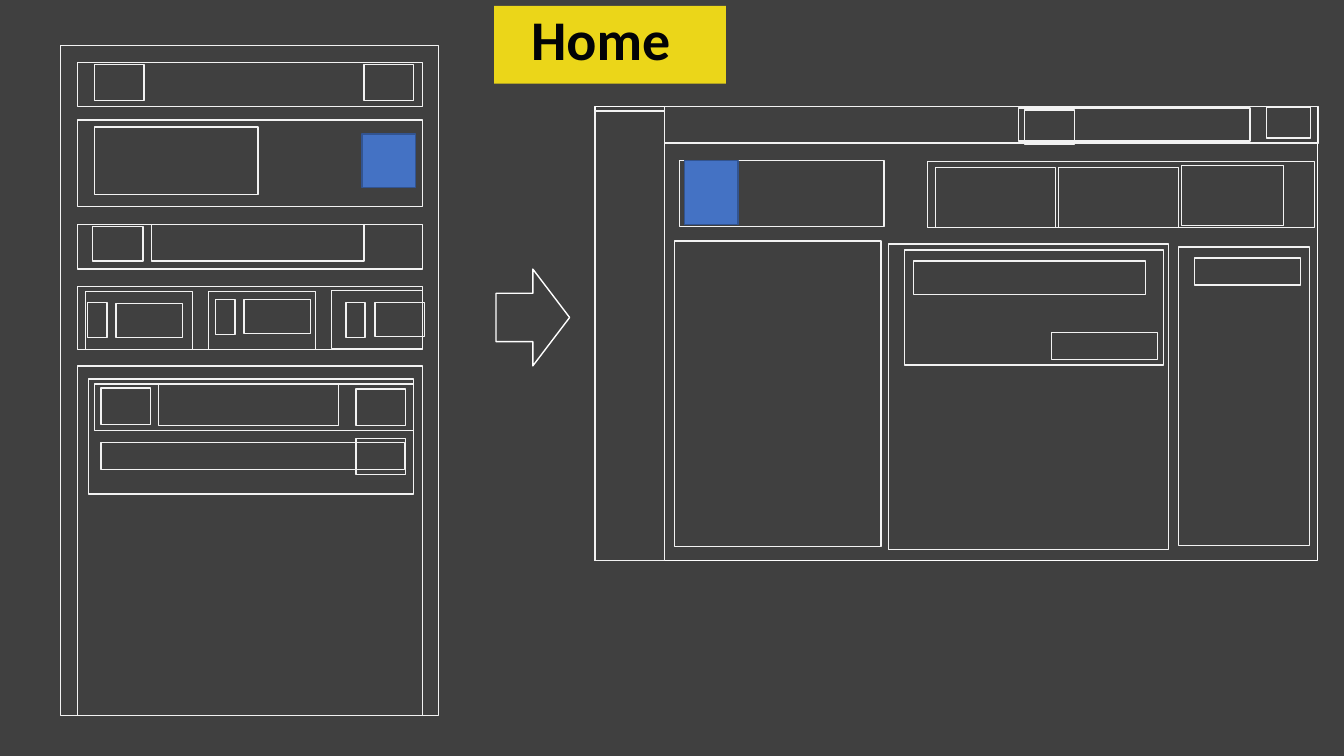
import pptx
import pptx.util
import pptx.dml.color
import pptx.enum.shapes
import pptx.enum.text

PX = 9144  # 100 px to the inch
RGB = pptx.dml.color.RGBColor
SHAPES = pptx.enum.shapes.MSO_SHAPE
BACKGROUND = RGB(0x40, 0x40, 0x40)
OUTLINE = RGB(0xF2, 0xF2, 0xF2)
WHITE = RGB(0xFF, 0xFF, 0xFF)
BLUE = RGB(0x44, 0x72, 0xC4)
BLUE_EDGE = RGB(0x32, 0x54, 0x91)
YELLOW = RGB(0xEB, 0xD6, 0x19)
INK = RGB(0x02, 0x03, 0x06)

deck = pptx.Presentation()
deck.slide_width = 1333 * PX
deck.slide_height = 750 * PX
page = deck.slides.add_slide(deck.slide_layouts[6])
page.background.fill.solid()
page.background.fill.fore_color.rgb = BACKGROUND


def add_block(left, top, width, height, line=OUTLINE, fill=None, kind=SHAPES.RECTANGLE):
    block = page.shapes.add_shape(kind, left * PX, top * PX, width * PX, height * PX)
    block.shadow.inherit = False
    if fill is None:
        block.fill.background()
    else:
        block.fill.solid()
        block.fill.fore_color.rgb = fill
    if line is None:
        block.line.fill.background()
    else:
        block.line.color.rgb = line
        block.line.width = pptx.util.Pt(1)


# Phone: frame and its full-width sections
add_block(60, 45, 375, 665)
for top, height in [(62, 44), (119, 86), (223, 44), (284, 63), (363, 347)]:
    add_block(77, top, 342, height)

# Phone: header buttons, banner text, search row
for left in (94, 361):
    add_block(left, 64, 49, 36)
add_block(94, 126, 162, 67)
add_block(92, 225, 50, 34)
add_block(150, 223, 211, 36)

# Phone: three cards, each with an icon and a label
for left, top, width, height in [(85, 289, 106, 58), (207, 289, 106, 58), (329, 288, 90, 58)]:
    add_block(left, top, width, height)
for left, top in [(87, 300), (214, 297), (343, 300)]:
    add_block(left, top, 19, 35)
for left, top, width in [(115, 301, 66), (242, 297, 66), (372, 300, 49)]:
    add_block(left, top, width, 34)

# Phone: feed post
add_block(88, 376, 322, 114)
add_block(94, 381, 316, 46)
add_block(157, 381, 179, 41)
add_block(100, 439, 301, 27)
for left, top in [(100, 385), (353, 386), (353, 435)]:
    add_block(left, top, 49, 36)

# Arrow from phone to desktop
add_block(492, 267, 73, 96, line=WHITE, kind=SHAPES.RIGHT_ARROW)

# Desktop: frame, side bar, top bar
add_block(590, 106, 717, 450, line=WHITE)
add_block(590, 110, 69, 446)
add_block(659, 106, 649, 36)
add_block(1010, 107, 230, 33)
add_block(1016, 109, 50, 34)
add_block(1256, 106, 44, 31)

# Desktop: banner and card row
add_block(674, 159, 203, 66)
add_block(920, 160, 384, 66)
for left, top, width in [(928, 166, 119), (1050, 166, 119), (1172, 164, 101)]:
    add_block(left, top, width, 60)

# Desktop: three columns
for left, top, width, height in [(669, 239, 205, 303), (881, 242, 278, 303), (1169, 245, 130, 296)]:
    add_block(left, top, width, height)

# Desktop: post in the middle column, buttons
add_block(897, 248, 257, 114)
add_block(906, 259, 230, 33)
for left, top in [(1043, 330), (1185, 256)]:
    add_block(left, top, 105, 27)

# Blue pictures in both banners
add_block(679, 159, 53, 64, line=BLUE_EDGE, fill=BLUE)
add_block(359, 133, 53, 53, line=BLUE_EDGE, fill=BLUE)

# Title
add_block(490, 6, 230, 77, line=None, fill=YELLOW)
box = page.shapes.add_textbox(517 * PX, 0, 184 * PX, 77 * PX)
box.text_frame.word_wrap = True
box.text_frame.auto_size = pptx.enum.text.MSO_AUTO_SIZE.SHAPE_TO_FIT_TEXT
para = box.text_frame.paragraphs[0]
para.text = "Home"
para.font.name = "Calibri"
para.font.size = pptx.util.Pt(40)
para.font.bold = True
para.font.color.rgb = INK

deck.save("out.pptx")
